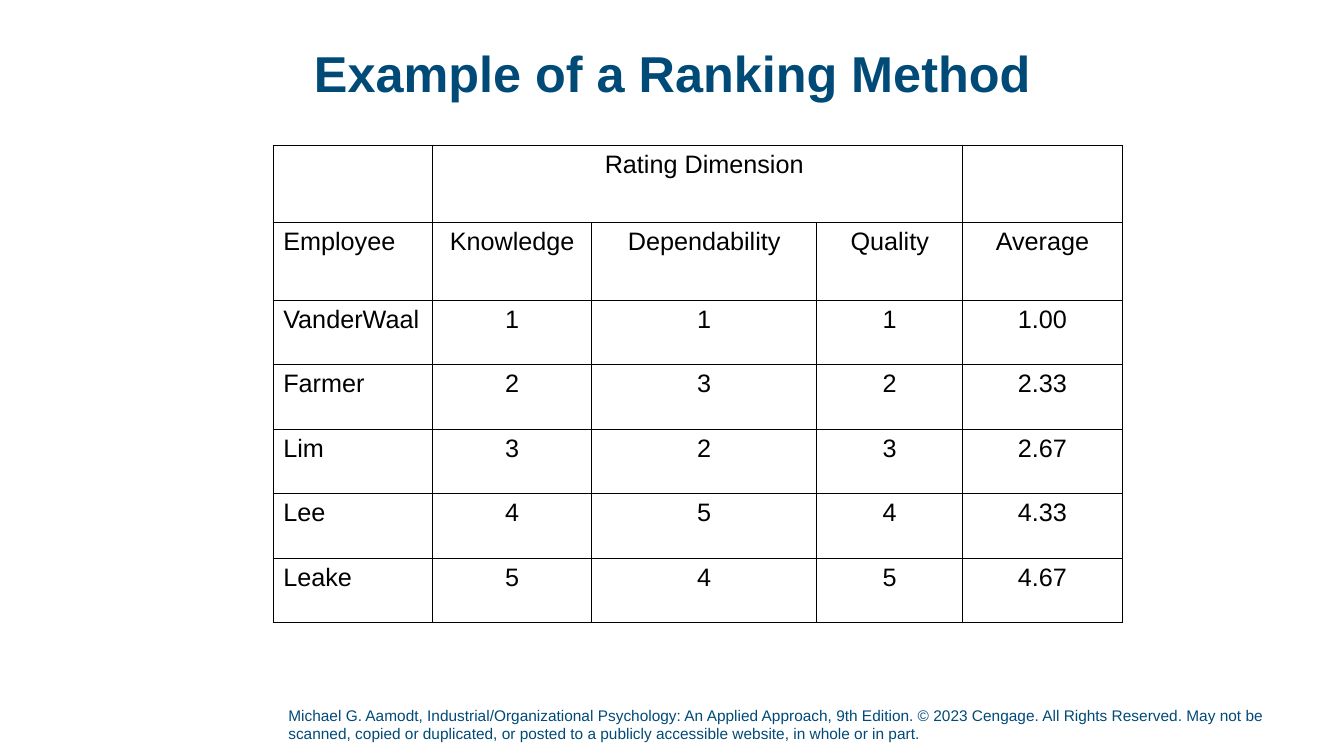
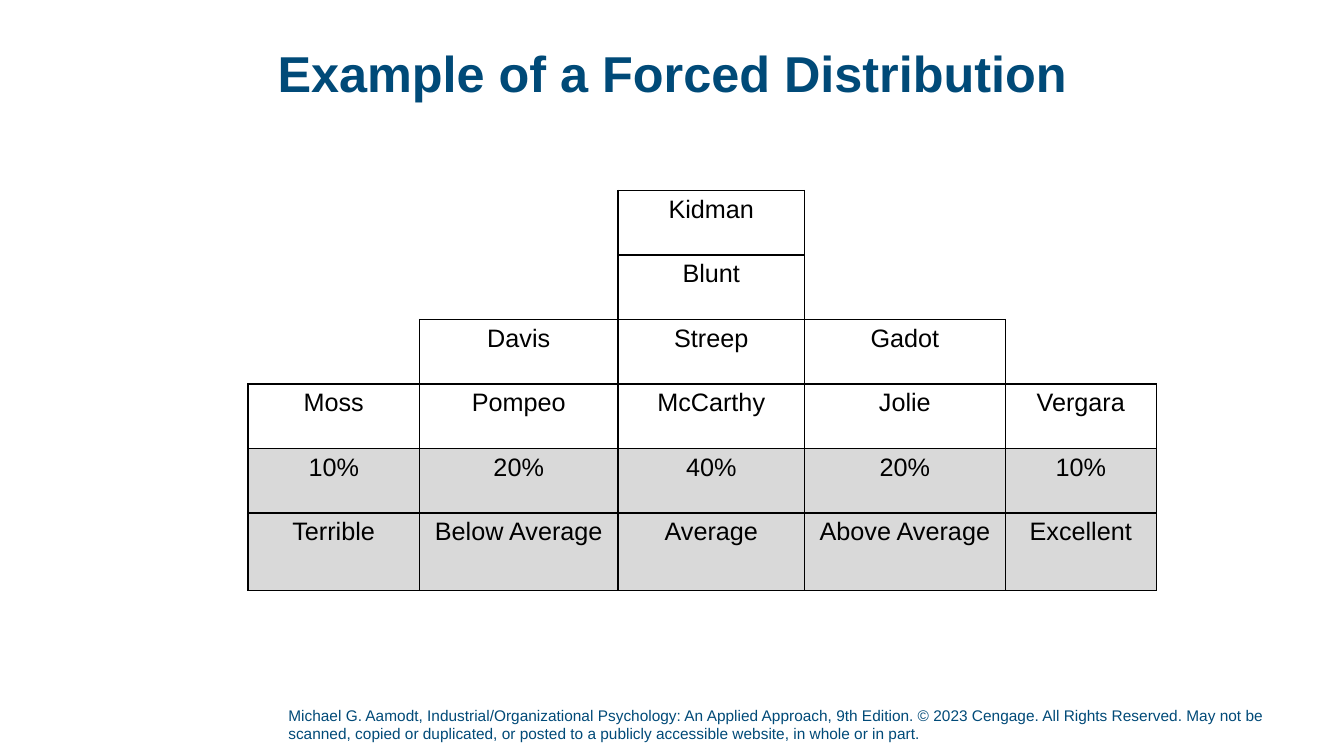
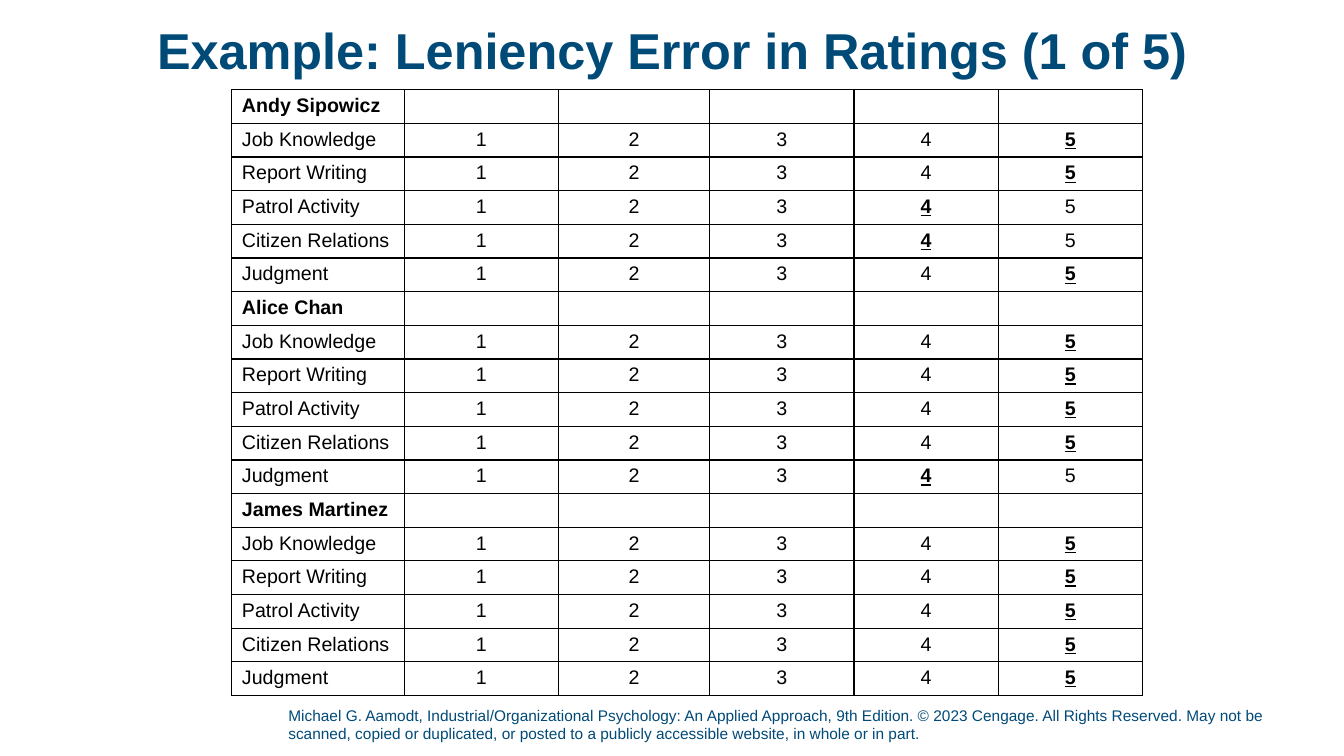
from lxml import etree
from pptx import Presentation
from pptx.dml.color import RGBColor
from pptx.enum.text import MSO_ANCHOR, PP_ALIGN
from pptx.oxml.ns import qn
from pptx.util import Inches, Pt

LEFT, CENTER = PP_ALIGN.LEFT, PP_ALIGN.CENTER
MIDDLE, BOTTOM = MSO_ANCHOR.MIDDLE, MSO_ANCHOR.BOTTOM

# Shared look
FONT = "Arial"
BLUE, BLACK, GRAY = "004A78", "000000", "D9D9D9"
BLANK_LAYOUT = 6
TITLE_BOX = (0.92, 0.17, 11.5, 1.18)
TITLE_FONT = {"size": Pt(36), "bold": True}
FOOTER_BOX = (2.86, 7, 10.34, 0.42)
FOOTER_FONT = {"size": Pt(11)}
FOOTER = (
    "Michael G. Aamodt, Industrial/Organizational Psychology: An Applied "
    "Approach, 9th Edition. © 2023 Cengage. All Rights Reserved. May not be "
    "scanned, copied or duplicated, or posted to a publicly accessible "
    "website, in whole or in part."
)
BORDER_WIDTH = Pt(1)
SIDES = {"L": (0, -1), "R": (0, 1), "T": (-1, 0), "B": (1, 0)}


def rgb(color):
    return RGBColor.from_string(color)


def write(p, text, color, align, **font):
    """Put one formatted run into a paragraph."""
    p.alignment = align
    r = p.add_run()
    r.text = text
    r.font.color.rgb = rgb(color)
    for name, value in {"name": FONT, **font}.items():
        setattr(r.font, name, value)


def add_text(s, text, box, anchor, align, bottom=0, spacing=None, **font):
    tf = s.shapes.add_textbox(*map(Inches, box)).text_frame
    frame = {
        "word_wrap": True,
        "vertical_anchor": anchor,
        "margin_left": 0,
        "margin_right": 0,
        "margin_top": 0,
        "margin_bottom": Inches(bottom),
    }
    for name, value in frame.items():
        setattr(tf, name, value)
    p = tf.paragraphs[0]
    p.line_spacing = spacing
    write(p, text, BLUE, align, **font)


def add_slide(prs, title, title_box=TITLE_BOX):
    """A slide with the common footer and title."""
    s = prs.slides.add_slide(prs.slide_layouts[BLANK_LAYOUT])
    add_text(s, FOOTER, FOOTER_BOX, BOTTOM, LEFT, bottom=0.05, **FOOTER_FONT)
    add_text(s, title, title_box, MIDDLE, CENTER, spacing=0.9, **TITLE_FONT)
    return s


def set_border(cell, side, drawn):
    ln = etree.SubElement(cell._tc.get_or_add_tcPr(), qn(f"a:ln{side}"))
    ln.set("w", str(int(BORDER_WIDTH) if drawn else 0))
    if drawn:
        fill = etree.SubElement(ln, qn("a:solidFill"))
        etree.SubElement(fill, qn("a:srgbClr")).set("val", BLACK)
    else:
        etree.SubElement(ln, qn("a:noFill"))


def add_table(s, rows, left, top, widths, heights, size, left_cols=(),
              region=None, font_at=None, fill_at=None):
    """A grid with a border wherever two neighbours lie in different regions.

    region(row, col) names the area of a cell; None is outside the grid.
    """
    frame = s.shapes.add_table(
        len(rows), len(widths), Inches(left), Inches(top),
        Inches(sum(widths)), Inches(sum(heights)))
    table = frame.table
    table.first_row = table.horz_banding = False
    for col, width in zip(table.columns, widths):
        col.width = Inches(width)
    for row, height in zip(table.rows, heights):
        row.height = Inches(height)

    def area(i, j):
        if not (0 <= i < len(rows) and 0 <= j < len(widths)):
            return None
        return region(i, j) if region else (i, j)

    for i, texts in enumerate(rows):
        for j, text in enumerate(texts):
            cell = table.cell(i, j)
            for side, (di, dj) in SIDES.items():
                set_border(cell, side, area(i, j) != area(i + di, j + dj))
            color = fill_at(i, j) if fill_at else None
            if color:
                cell.fill.solid()
                cell.fill.fore_color.rgb = rgb(color)
            else:
                cell.fill.background()
            if text:
                font = font_at(i, j) if font_at else {}
                write(cell.text_frame.paragraphs[0], text, BLACK,
                      LEFT if j in left_cols else CENTER,
                      size=Pt(size), **font)
            else:
                # Empty cells must not stretch their row
                cell.margin_top = cell.margin_bottom = 0


def ranking_slide(prs):
    s = add_slide(prs, "Example of a Ranking Method")
    rows = [
        ["", "", "Rating Dimension", "", ""],
        ["Employee", "Knowledge", "Dependability", "Quality", "Average"],
        ["VanderWaal", "1", "1", "1", "1.00"],
        ["Farmer", "2", "3", "2", "2.33"],
        ["Lim", "3", "2", "3", "2.67"],
        ["Lee", "4", "5", "4", "4.33"],
        ["Leake", "5", "4", "5", "4.67"],
    ]

    def region(i, j):
        return "dimensions" if i == 0 and 1 <= j <= 3 else (i, j)

    add_table(s, rows, 2.71, 1.44, [1.58, 1.58, 2.23, 1.45, 1.58],
              [0.77] * 2 + [0.64] * 5, 18, left_cols=(0,), region=region)


def distribution_slide(prs):
    s = add_slide(prs, "Example of a Forced Distribution")
    rows = [
        ["", "", "Kidman", "", ""],
        ["", "", "Blunt", "", ""],
        ["", "Davis", "Streep", "Gadot", ""],
        ["Moss", "Pompeo", "McCarthy", "Jolie", "Vergara"],
        ["10%", "20%", "40%", "20%", "10%"],
        ["Terrible", "Below Average", "Average", "Above Average", "Excellent"],
    ]
    add_table(s, rows, 2.46, 1.89, [1.7, 1.97, 1.85, 1.99, 1.5],
              [0.64] * 5 + [0.77], 18,
              region=lambda i, j: (i, j) if rows[i][j] else None,
              fill_at=lambda i, j: GRAY if i >= 4 else None)


def leniency_slide(prs):
    s = add_slide(prs, "Example: Leniency Error in Ratings (1 of 5)",
                  (0.92, 0.25, 11.5, 0.55))
    skills = ["Job Knowledge", "Report Writing", "Patrol Activity",
              "Citizen Relations", "Judgment"]
    ratings = {
        "Andy Sipowicz": [5, 5, 4, 4, 5],
        "Alice Chan": [5, 5, 5, 5, 4],
        "James Martinez": [5, 5, 5, 5, 5],
    }
    scale = ["1", "2", "3", "4", "5"]
    rows, given = [], []
    for officer, scores in ratings.items():
        rows.append([officer] + [""] * len(scale))
        rows += [[skill] + scale for skill in skills]
        given += [0] + scores  # column 0 of a heading row is the bold name

    def font_at(i, j):
        chosen = j == given[i]
        return {"bold": chosen, "underline": chosen and j > 0}

    add_table(s, rows, 2.3, 0.89, [1.71, 1.53, 1.5, 1.43, 1.43, 1.43],
              [0.32] * len(rows), 14, left_cols=(0,), font_at=font_at)


def main():
    prs = Presentation()
    prs.slide_width, prs.slide_height = Inches(13.33), Inches(7.5)
    ranking_slide(prs)
    distribution_slide(prs)
    leniency_slide(prs)
    prs.save("out.pptx")


if __name__ == "__main__":
    main()
